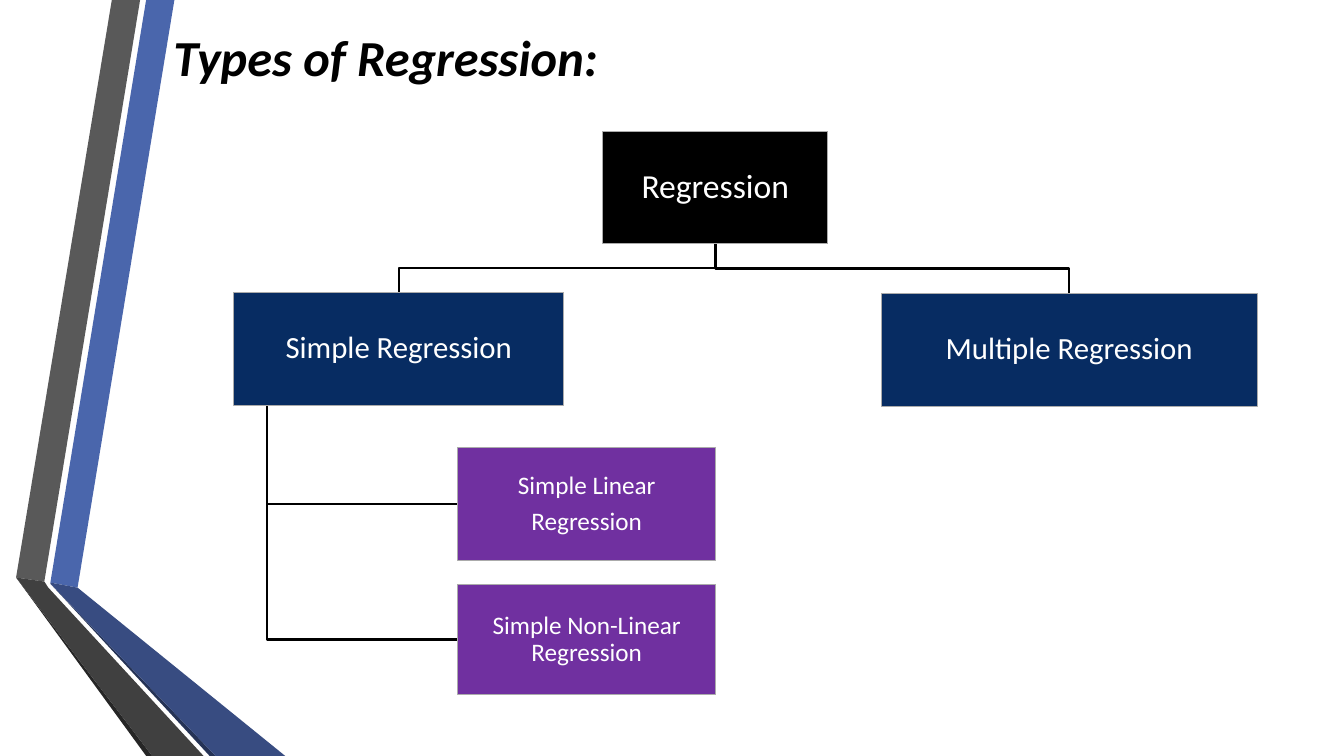
from dataclasses import dataclass

from pptx import Presentation
from pptx.dml.color import RGBColor
from pptx.enum.shapes import MSO_SHAPE
from pptx.enum.text import MSO_ANCHOR, PP_ALIGN
from pptx.util import Inches, Pt

RECTANGLE = MSO_SHAPE.RECTANGLE
MIDDLE = MSO_ANCHOR.MIDDLE
LEFT, CENTER = PP_ALIGN.LEFT, PP_ALIGN.CENTER

FONT = "Calibri"
BLACK, WHITE, BORDER = "000000", "FFFFFF", "ABABAB"
NAVY, PURPLE = "072C62", "7030A0"

Point = tuple[float, float]


@dataclass(frozen=True)
class Band:
    color: str
    points: list[Point]


@dataclass(frozen=True)
class Box:
    lines: list[str]
    left: float
    top: float
    width: float
    height: float
    color: str
    size: int
    inset: float = 0.02

    @property
    def center(self) -> float:
        return self.left + self.width / 2

    @property
    def middle(self) -> float:
        return self.top + self.height / 2

    @property
    def bottom(self) -> float:
        return self.top + self.height


BANDS = [
    Band("4A66AC", [(0.5, 5.78), (0.77, 5.83), (1.73, 0), (1.45, 0)]),
    Band("595959", [(1.39, 0), (1.11, 0), (0.16, 5.73), (0.44, 5.77)]),
    Band("262626", [(0.16, 5.73), (1.45, 7.5), (1.51, 7.5)]),
    Band("253356", [(0.5, 5.79), (2.08, 7.5), (2.14, 7.5)]),
    Band("384C81", [(0.5, 5.79), (2.14, 7.5), (2.83, 7.5), (0.77, 5.83), (0.5, 5.78)]),
    Band("404040", [(2.02, 7.5), (0.48, 5.83), (0.44, 5.77), (0.16, 5.73), (1.51, 7.5)]),
]

ROOT = Box(["Regression"], 5.98, 1.3, 2.23, 1.12, BLACK, 24)
SIMPLE = Box(["Simple Regression"], 2.32, 2.9, 3.27, 1.12, NAVY, 22)
MULTIPLE = Box(["Multiple Regression"], 8.74, 2.91, 3.73, 1.12, NAVY, 22)
LINEAR = Box(["Simple Linear", "Regression"], 4.54, 4.44, 2.56, 1.12, PURPLE, 18, 0.01)
NON_LINEAR = Box(["Simple Non-Linear Regression"], 4.54, 5.8, 2.56, 1.09, PURPLE, 18, 0.01)


def rgb(color: str) -> RGBColor:
    return RGBColor.from_string(color)


def add_outline(shapes, points: list[Point], close: bool):
    # The builder keeps whole units only, so it is given lengths at scale 1
    start, *others = [(Inches(x), Inches(y)) for x, y in points]
    builder = shapes.build_freeform(*start)
    builder.add_line_segments(others, close=close)
    shape = builder.convert_to_shape()
    shape.shadow.inherit = False
    return shape


def add_band(shapes, band: Band) -> None:
    shape = add_outline(shapes, band.points, close=True)
    shape.fill.solid()
    shape.fill.fore_color.rgb = rgb(band.color)
    shape.line.fill.background()


def add_branch(shapes, points: list[Point]) -> None:
    shape = add_outline(shapes, points, close=False)
    shape.fill.background()
    shape.line.color.rgb = rgb(BLACK)
    shape.line.width = Pt(1.75)


def add_box(shapes, box: Box) -> None:
    shape = shapes.add_shape(RECTANGLE, Inches(box.left), Inches(box.top),
                             Inches(box.width), Inches(box.height))
    shape.shadow.inherit = False
    shape.fill.solid()
    shape.fill.fore_color.rgb = rgb(box.color)
    shape.line.color.rgb = rgb(BORDER)
    shape.line.width = Pt(0.75)

    frame = shape.text_frame
    frame.word_wrap = True
    frame.vertical_anchor = MIDDLE
    frame.margin_left = frame.margin_right = Inches(box.inset)
    frame.margin_top = frame.margin_bottom = Inches(box.inset)
    frame.text = "\n".join(box.lines)
    for paragraph in frame.paragraphs:
        paragraph.alignment = CENTER
        paragraph.line_spacing = 0.9
        paragraph.space_after = Pt(0.35 * box.size)
        paragraph.font.name = FONT
        paragraph.font.size = Pt(box.size)
        paragraph.font.color.rgb = rgb(WHITE)


def set_title(title, text: str) -> None:
    title.left, title.top = Inches(1.62), Inches(0.21)
    title.width, title.height = Inches(10.96), Inches(0.7)
    title.text_frame.text = text
    title.text_frame.vertical_anchor = MIDDLE
    paragraph = title.text_frame.paragraphs[0]
    paragraph.alignment = LEFT
    paragraph.font.name = FONT
    paragraph.font.size = Pt(36)
    paragraph.font.bold = paragraph.font.italic = True
    paragraph.font.color.rgb = rgb(BLACK)


def main() -> None:
    presentation = Presentation()
    presentation.slide_width = Inches(13.33)
    presentation.slide_height = Inches(7.5)
    slide = presentation.slides.add_slide(presentation.slide_layouts[5])
    shapes = slide.shapes

    # Folded ribbons at the left edge
    for band in BANDS:
        add_band(shapes, band)

    set_title(shapes.title, "Types of Regression:")

    # Branches from the root, bending halfway down
    for child in (MULTIPLE, SIMPLE):
        bend = (ROOT.bottom + child.top) / 2
        add_branch(shapes, [(ROOT.center, ROOT.bottom), (ROOT.center, bend),
                            (child.center, bend), (child.center, child.top)])

    # Branches hanging from a tenth of the way along the simple box
    stem = SIMPLE.left + SIMPLE.width / 10
    for child in (LINEAR, NON_LINEAR):
        add_branch(shapes, [(stem, SIMPLE.bottom), (stem, child.middle),
                            (child.left, child.middle)])

    # Boxes
    for box in (ROOT, SIMPLE, NON_LINEAR, LINEAR, MULTIPLE):
        add_box(shapes, box)

    presentation.save("out.pptx")


if __name__ == "__main__":
    main()
